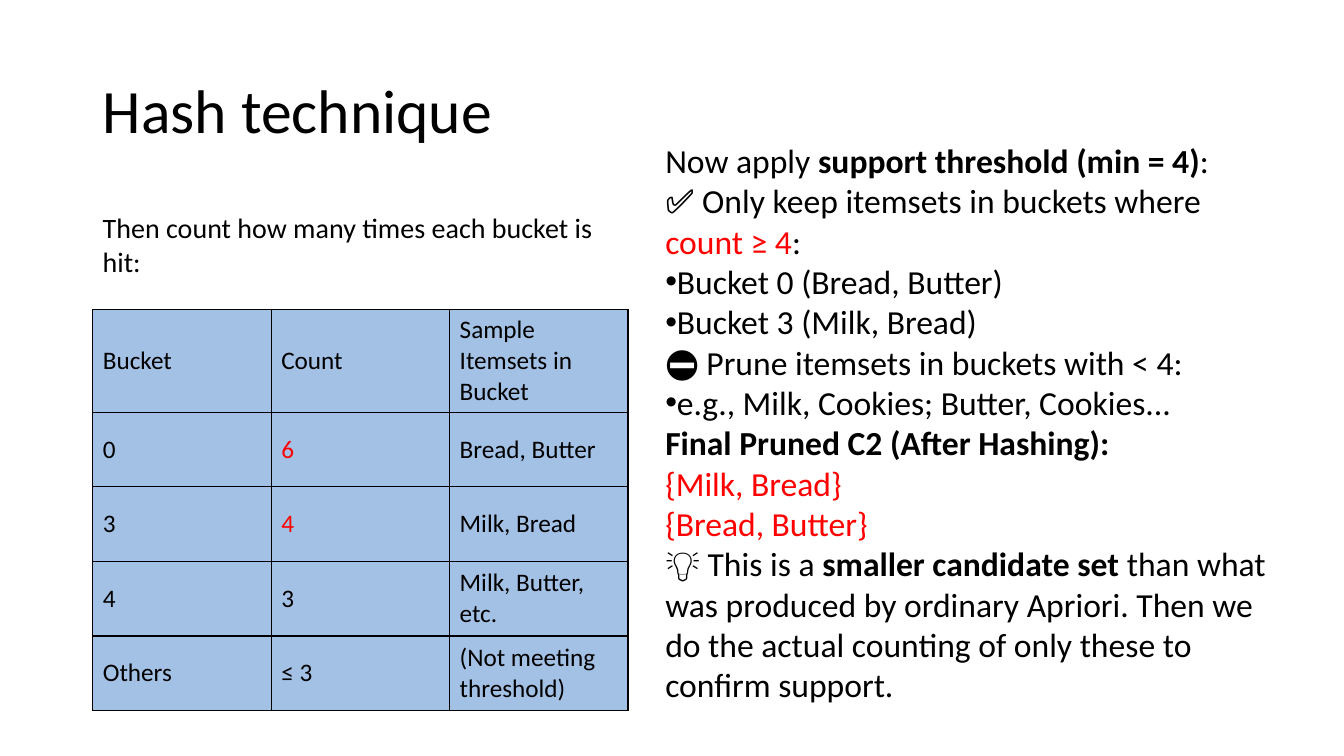
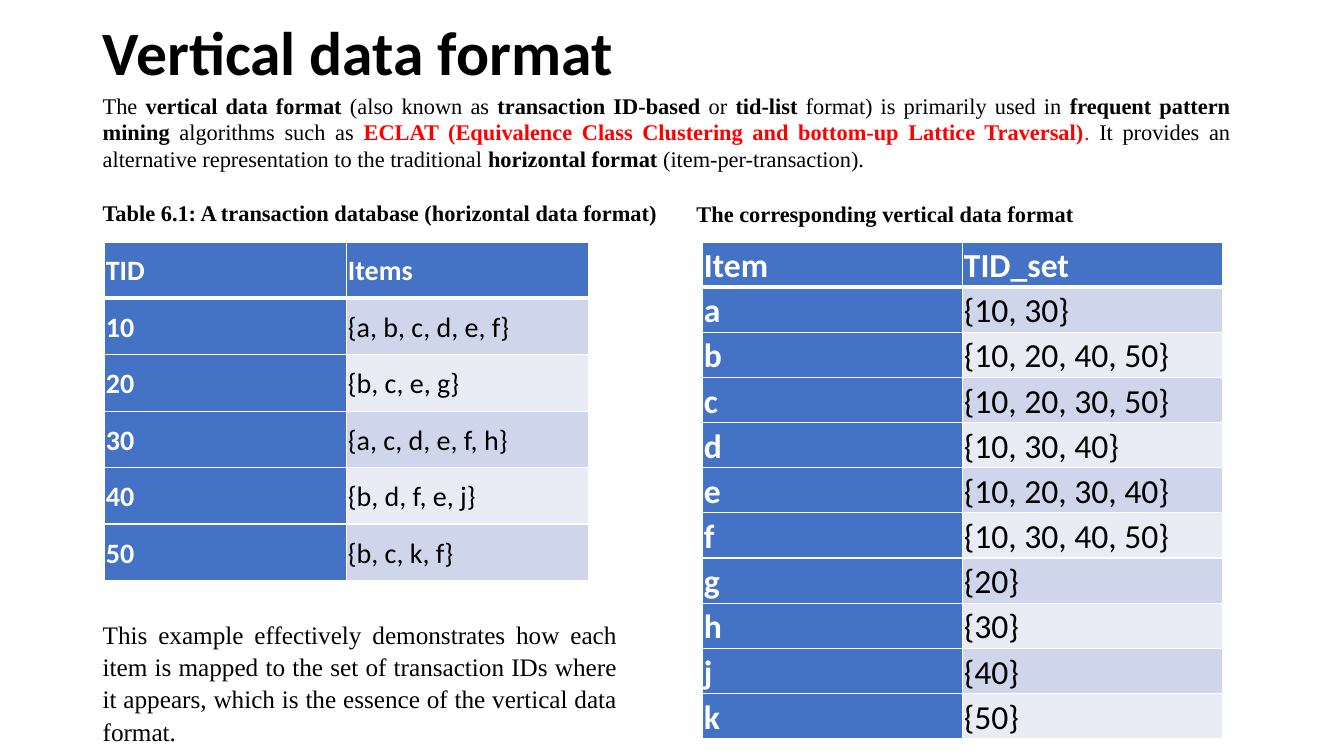
from pptx import Presentation
from pptx.dml.color import RGBColor
from pptx.enum.text import MSO_ANCHOR, MSO_AUTO_SIZE, PP_ALIGN
from pptx.oxml import parse_xml
from pptx.oxml.ns import nsdecls
from pptx.util import Pt

PX = 9144  # 100 px to the inch
TITLE_ONLY = 5
LEFT, JUSTIFY = PP_ALIGN.LEFT, PP_ALIGN.JUSTIFY
TOP, MIDDLE = MSO_ANCHOR.TOP, MSO_ANCHOR.MIDDLE
NO_AUTOFIT = MSO_AUTO_SIZE.NONE

SANS, SERIF = "Calibri", "Times New Roman"
BLACK, WHITE, RED = "000000", "FFFFFF", "FF0000"
LIGHT_BLUE, BLUE = "A3C1E5", "4472C4"
BANDS = ("CFD5EA", "E9EBF5")
MARGIN = 92
BOLD = {"bold": True}
ALERT = {"color": RED}
BOLD_ALERT = {"bold": True, "color": RED}

BUCKETS = [
    ["Bucket", "Count", "Sample Itemsets in Bucket"],
    ["0", ("6", ALERT), "Bread, Butter"],
    ["3", ("4", ALERT), "Milk, Bread"],
    ["4", "3", "Milk, Butter, etc."],
    ["Others", "≤ 3", "(Not meeting threshold)"],
]
PRUNING = [
    ["Now apply ", ("support threshold (min = 4)", BOLD), ":"],
    ["✅ Only keep itemsets in buckets where ", ("count ≥ 4", ALERT), ":"],
    ["•Bucket 0 (Bread, Butter)"],
    ["•Bucket 3 (Milk, Bread)"],
    ["⛔ Prune itemsets in buckets with < 4:"],
    ["•e.g., Milk, Cookies; Butter, Cookies..."],
    [("Final Pruned C2 (After Hashing):", BOLD)],
    [("{Milk, Bread}", ALERT)],
    [("{Bread, Butter}", ALERT)],
    ["💡 This is a ", ("smaller candidate set", BOLD),
     " than what was produced by ordinary Apriori. Then we do the actual "
     "counting of only these to confirm support."],
]
INTRO = [
    "The ", ("vertical data format", BOLD), " (also known as ",
    ("transaction ID-based", BOLD), " or ", ("tid-list", BOLD),
    " format) is primarily used in ", ("frequent pattern mining", BOLD),
    " algorithms such as ",
    ("ECLAT (Equivalence Class Clustering and bottom-up Lattice Traversal)",
     BOLD_ALERT),
    (". ", ALERT),
    "It provides an alternative representation to the traditional ",
    ("horizontal format", BOLD), " (item-per-transaction).",
]
TRANSACTIONS = [
    ["TID", "Items"],
    ["10", "{a, b, c, d, e, f}"],
    ["20", "{b, c, e, g}"],
    ["30", "{a, c, d, e, f, h}"],
    ["40", "{b, d, f, e, j}"],
    ["50", "{b, c, k, f}"],
]
TID_SETS = [
    ["Item", "TID_set"],
    ["a", "{10, 30}"],
    ["b", "{10, 20, 40, 50}"],
    ["c", "{10, 20, 30, 50}"],
    ["d", "{10, 30, 40}"],
    ["e", "{10, 20, 30, 40}"],
    ["f", "{10, 30, 40, 50}"],
    ["g", "{20}"],
    ["h", "{30}"],
    ["j", "{40}"],
    ["k", "{50}"],
]


def px(*lengths):
    return [n * PX for n in lengths]


def rgb(color):
    return RGBColor.from_string(color)


def add_bullet(p):
    pPr = p._p.get_or_add_pPr()
    pPr.set("marL", "0")
    pPr.set("indent", "0")
    for tag, attr in (("buFont", 'typeface="Arial"'), ("buChar", 'char="•"')):
        pPr.append(parse_xml(f'<a:{tag} {nsdecls("a")} {attr}/>'))


def write(tf, paragraphs, size, font=SANS, color=BLACK, bold=False,
          align=LEFT, spacing=None, anchor=TOP):
    """Fill a frame; a run is a string or (string, format), a leading • bullets."""
    tf.word_wrap = True
    tf.vertical_anchor = anchor
    for i, runs in enumerate(paragraphs):
        p = tf.add_paragraph() if i else tf.paragraphs[0]
        p.alignment = align
        if spacing:
            p.line_spacing = spacing
        for run in runs:
            text, style = (run, {}) if isinstance(run, str) else run
            if text.startswith("•"):
                add_bullet(p)
                text = text[1:]
            r = p.add_run()
            r.text = text
            r.font.name = font
            r.font.size = Pt(size)
            r.font.bold = style.get("bold", bold)
            r.font.color.rgb = rgb(style.get("color", color))


def add_titled_slide(prs, text, y, h, bold=False):
    s = prs.slides.add_slide(prs.slide_layouts[TITLE_ONLY])
    title = s.shapes.title
    title.left, title.top, title.width, title.height = px(MARGIN, y, 1150, h)
    title.text_frame.auto_size = NO_AUTOFIT
    write(title.text_frame, [[text]], 44, bold=bold, spacing=0.9, anchor=MIDDLE)
    return s


def add_text(s, box, paragraphs, size, **fmt):
    tf = s.shapes.add_textbox(*px(*box)).text_frame
    write(tf, paragraphs, size, **fmt)


def set_borders(cell, color, top=1, bottom=1):
    tcPr = cell._tc.get_or_add_tcPr()
    sides = (("L", 1), ("R", 1), ("T", top), ("B", bottom))
    for i, (side, width) in enumerate(sides):
        tcPr.insert(i, parse_xml(
            f'<a:ln{side} {nsdecls("a")} w="{Pt(width)}"><a:solidFill>'
            f'<a:srgbClr val="{color}"/></a:solidFill></a:ln{side}>'))


def add_grid(s, x, y, col_w, row_heights, rows):
    """Add an unbanded table and return its cells as (row, column, cell, run)."""
    n_cols = len(rows[0])
    frame = s.shapes.add_table(len(rows), n_cols,
                               *px(x, y, col_w * n_cols, sum(row_heights)))
    table = frame.table
    table.first_row = table.horz_banding = False
    for col in table.columns:
        col.width = col_w * PX
    for row, height in zip(table.rows, row_heights):
        row.height = height * PX
    return [(r, c, table.cell(r, c), run)
            for r, row in enumerate(rows) for c, run in enumerate(row)]


def fill_cell(cell, run, fill, size, **fmt):
    cell.fill.solid()
    cell.fill.fore_color.rgb = rgb(fill)
    write(cell.text_frame, [[run]], size, **fmt)
    cell.vertical_anchor = MIDDLE


def add_bucket_table(s):
    heights = [102] + [74] * (len(BUCKETS) - 1)
    for _, _, cell, run in add_grid(s, MARGIN, 307, 177, heights, BUCKETS):
        fill_cell(cell, run, LIGHT_BLUE, 18)
        set_borders(cell, BLACK)


def add_banded_table(s, x, col_w, row_h, rows, size):
    """Add a table with a blue header row and first column."""
    heights = [row_h] * len(rows)
    for r, c, cell, run in add_grid(s, x, 240, col_w, heights, rows):
        cell.margin_left = cell.margin_right = PX
        cell.margin_top = cell.margin_bottom = PX
        head = r == 0 or c == 0
        fill_cell(cell, run, BLUE if head else BANDS[(r - 1) % 2], size,
                  color=WHITE if head else BLACK, bold=head, spacing=1.07)
        set_borders(cell, WHITE, top=3 if r == 1 else 1,
                    bottom=3 if r == 0 else 1)


def build_hash_slide(prs):
    s = add_titled_slide(prs, "Hash technique", 40, 145)
    add_bucket_table(s)
    add_text(s, (650, 134, 624, 616), PRUNING, 24)
    add_text(s, (MARGIN, 204, 532, 77),
             [["Then count how many times each bucket is hit:"]], 20)


def build_vertical_slide(prs):
    s = add_titled_slide(prs, "Vertical data format", 16, 78, bold=True)
    caption = {"size": 16, "font": SERIF, "bold": True, "align": JUSTIFY}
    add_text(s, (MARGIN, 86, 1138, 91), [INTRO], 16, font=SERIF, align=JUSTIFY)
    add_text(s, (MARGIN, 192, 578, 37),
             [["Table 6.1: A transaction database (horizontal data format)"]],
             anchor=MIDDLE, **caption)
    add_text(s, (681, 192, 640, 37),
             [["The corresponding vertical data format"]], spacing=1.07, **caption)
    add_banded_table(s, 104, 240, 56, TRANSACTIONS, 20)
    add_banded_table(s, 697, 258, 43, TID_SETS, 24)
    add_text(s, (MARGIN, 607, 530, 138),
             [["This example effectively demonstrates how each item is mapped to "
               "the set of transaction IDs where it appears, which is the essence "
               "of the vertical data format."]],
             18, font=SERIF, align=JUSTIFY, spacing=1.07)


def main():
    prs = Presentation()
    prs.slide_width, prs.slide_height = px(1333, 750)
    build_hash_slide(prs)
    build_vertical_slide(prs)
    prs.save("out.pptx")


if __name__ == "__main__":
    main()
